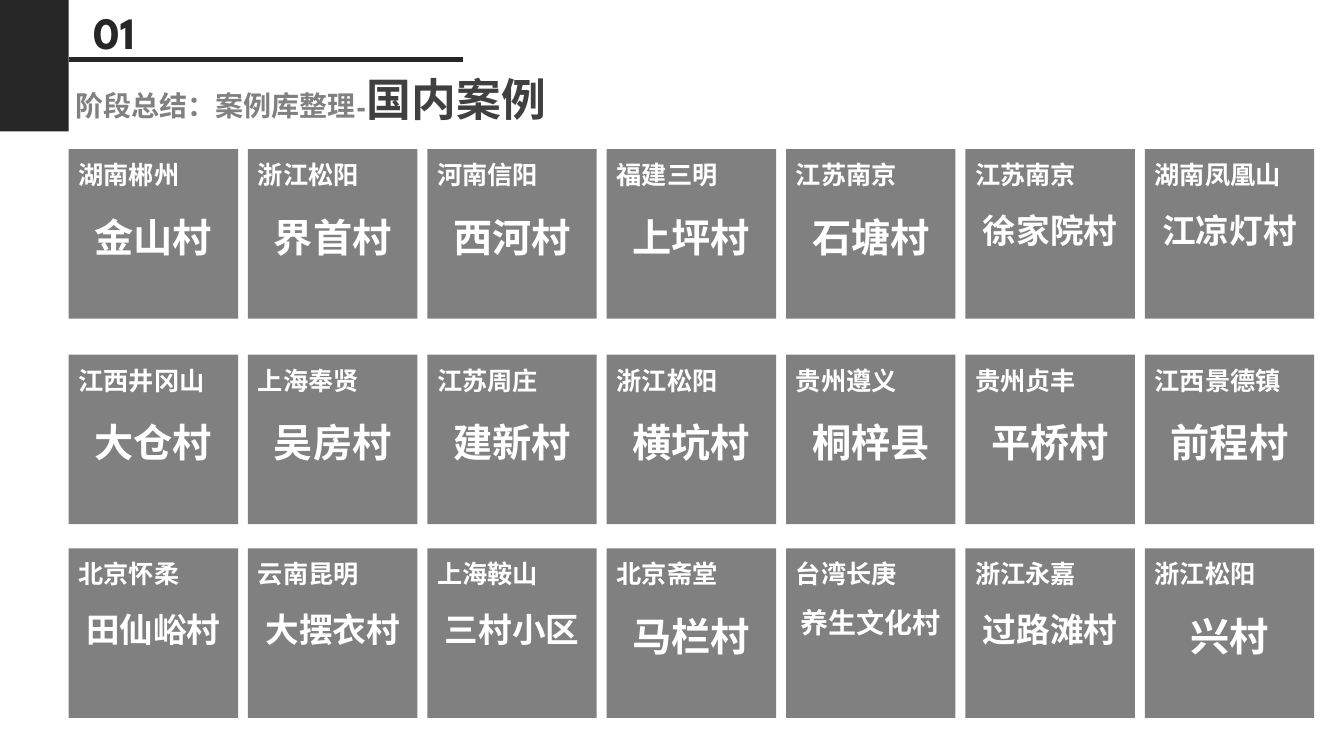
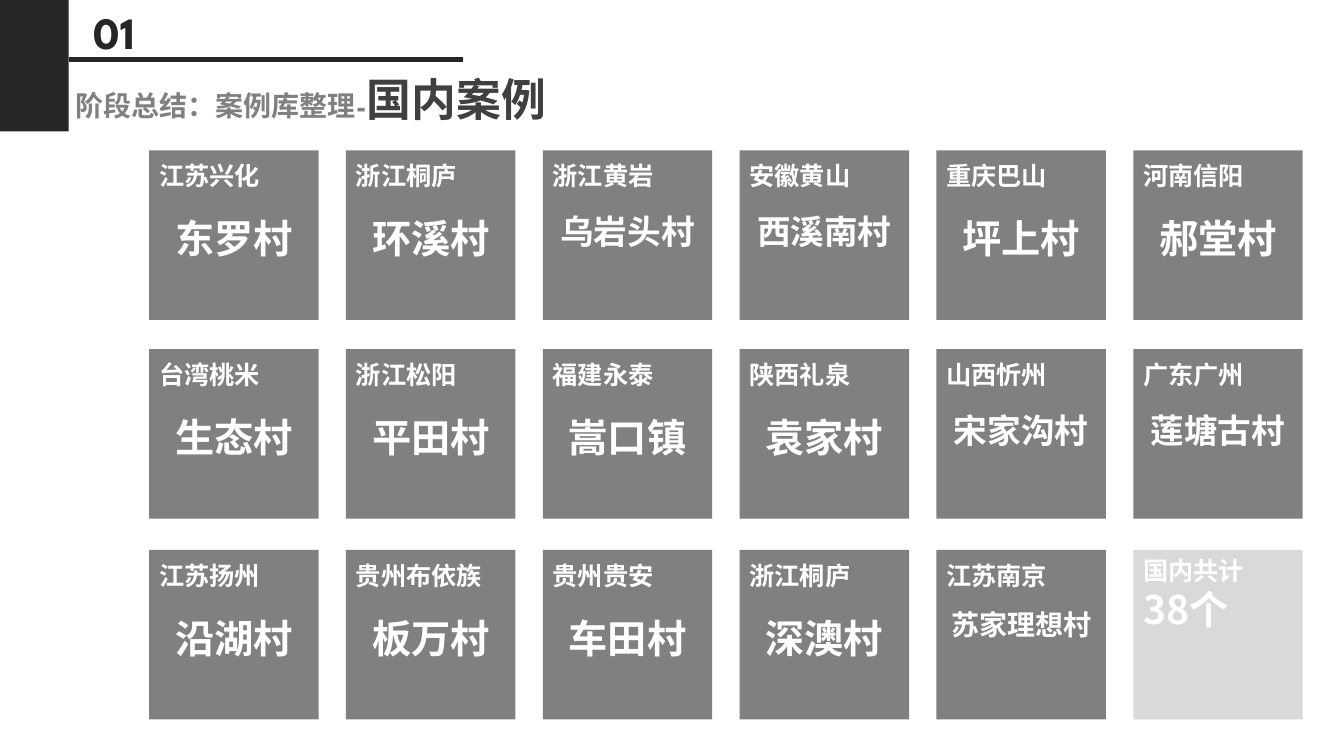
from dataclasses import dataclass

from lxml.etree import SubElement
from pptx import Presentation
from pptx.dml.color import RGBColor
from pptx.enum.shapes import MSO_CONNECTOR, MSO_SHAPE
from pptx.enum.text import MSO_ANCHOR, MSO_AUTO_SIZE, PP_ALIGN
from pptx.oxml.ns import qn
from pptx.util import Cm, Pt


@dataclass(frozen=True)
class Theme:
    dark: str = "262626"
    heading: str = "404040"
    gray: str = "808080"
    pale: str = "D9D9D9"
    white: str = "FFFFFF"
    display_font: str = "League Spartan"
    text_font: str = "Noto Sans CJK SC"
    large: int = 32
    name: int = 28
    place: int = 18
    prefix: int = 20
    # Longer village names are set smaller to stay on one line.
    long_names: tuple = ((4, 24), (5, 20))


@dataclass(frozen=True)
class Grid:
    """Card positions, in centimetres."""
    left: float
    column_step: float
    tops: tuple
    card: float = 4.27
    text_lift: float = 0.25
    text_height: float = 3


THEME = Theme()

FIRST_GRID = Grid(left=1.73, column_step=4.52, tops=(3.76, 8.94, 13.82))
FIRST_VILLAGES = (
    (("湖南郴州", "金山村"), ("浙江松阳", "界首村"), ("河南信阳", "西河村"),
     ("福建三明", "上坪村"), ("江苏南京", "石塘村"), ("江苏南京", "徐家院村"),
     ("湖南凤凰山", "江凉灯村")),
    (("江西井冈山", "大仓村"), ("上海奉贤", "吴房村"), ("江苏周庄", "建新村"),
     ("浙江松阳", "横坑村"), ("贵州遵义", "桐梓县"), ("贵州贞丰", "平桥村"),
     ("江西景德镇", "前程村")),
    (("北京怀柔", "田仙峪村"), ("云南昆明", "大摆衣村"), ("上海鞍山", "三村小区"),
     ("北京斋堂", "马栏村"), ("台湾长庚", "养生文化村"), ("浙江永嘉", "过路滩村"),
     ("浙江松阳", "兴村")),
)

SECOND_GRID = Grid(left=3.76, column_step=4.96, tops=(3.79, 8.8, 13.86))
SECOND_VILLAGES = (
    (("江苏兴化", "东罗村"), ("浙江桐庐", "环溪村"), ("浙江黄岩", "乌岩头村"),
     ("安徽黄山", "西溪南村"), ("重庆巴山", "坪上村"), ("河南信阳", "郝堂村")),
    (("台湾桃米", "生态村"), ("浙江松阳", "平田村"), ("福建永泰", "嵩口镇"),
     ("陕西礼泉", "袁家村"), ("山西忻州", "宋家沟村"), ("广东广州", "莲塘古村")),
    (("江苏扬州", "沿湖村"), ("贵州布依族", "板万村"), ("贵州贵安", "车田村"),
     ("浙江桐庐", "深澳村"), ("江苏南京", "苏家理想村")),
)


def write(paragraph, text, *, size, color=THEME.white, font=THEME.text_font,
          align=PP_ALIGN.LEFT, spacing=None):
    """Append a bold run to the paragraph."""
    paragraph.alignment = align
    if spacing:
        paragraph.line_spacing = spacing
    run = paragraph.add_run()
    run.text = text
    run.font.size = Pt(size)
    run.font.bold = True
    run.font.name = font
    run.font.color.rgb = RGBColor.from_string(color)
    SubElement(run._r.get_or_add_rPr(), qn("a:ea"), typeface=THEME.text_font)


def prepare_frame(shape, anchor=MSO_ANCHOR.TOP):
    frame = shape.text_frame
    frame.word_wrap = True
    frame.auto_size = MSO_AUTO_SIZE.NONE
    frame.vertical_anchor = anchor
    return frame


def add_text_box(shapes, left, top, width, height):
    box = shapes.add_textbox(Cm(left), Cm(top), Cm(width), Cm(height))
    return prepare_frame(box)


def add_block(shapes, left, top, width, height, color):
    block = shapes.add_shape(MSO_SHAPE.RECTANGLE, Cm(left), Cm(top), Cm(width), Cm(height))
    block.shadow.inherit = False
    block.fill.solid()
    block.fill.fore_color.rgb = RGBColor.from_string(color)
    block.line.fill.background()
    return block


def add_rule(shapes, left, right, y):
    rule = shapes.add_connector(MSO_CONNECTOR.STRAIGHT, Cm(left), Cm(y), Cm(right), Cm(y))
    rule.line.color.rgb = RGBColor.from_string(THEME.dark)
    rule.line.width = Pt(3)
    SubElement(rule.element.spPr, qn("a:effectLst"))
    return rule


def move_band_to_layout(slide):
    """Draw the corner block and rule, then hand them to the slide's layout."""
    corner = add_block(slide.shapes, 0, 0, 1.73, 3.31, THEME.dark)
    rule = add_rule(slide.shapes, 1.73, 11.68, 1.5)
    for shape in (corner, rule):
        slide.slide_layout.shapes.element.append(shape.element)


def add_heading(slide):
    title = slide.shapes.title
    title.left, title.top, title.width, title.height = Cm(1.65), Cm(1.68), Cm(14.15), Cm(1.62)
    paragraph = prepare_frame(title, MSO_ANCHOR.MIDDLE).paragraphs[0]
    write(paragraph, "阶段总结：案例库整理-", size=THEME.prefix, color=THEME.gray,
          font=THEME.display_font)
    write(paragraph, "国内案例", size=THEME.large, color=THEME.heading,
          font=THEME.display_font)
    number = add_text_box(slide.shapes, 2.11, 0, 1.85, 1.62)
    write(number.paragraphs[0], "01", size=THEME.large, color=THEME.dark,
          font=THEME.display_font)


def add_village_card(slide, grid, left, top, place, village):
    shapes = slide.shapes.add_group_shape().shapes
    add_block(shapes, left, top, grid.card, grid.card, THEME.gray)
    frame = add_text_box(shapes, left, top - grid.text_lift, grid.card, grid.text_height)
    write(frame.paragraphs[0], place, size=THEME.place, spacing=1.5)
    size = dict(THEME.long_names).get(len(village), THEME.name)
    write(frame.add_paragraph(), village, size=size, align=PP_ALIGN.CENTER, spacing=1.5)


def add_village_grid(slide, grid, rows):
    for top, row in zip(grid.tops, rows):
        for column, (place, village) in enumerate(row):
            left = grid.left + column * grid.column_step
            add_village_card(slide, grid, left, top, place, village)


def add_total_card(slide, grid, column):
    left = grid.left + column * grid.column_step
    card = add_block(slide.shapes, left, grid.tops[-1], grid.card, grid.card, THEME.pale)
    frame = prepare_frame(card)
    write(frame.paragraphs[0], "国内共计", size=THEME.place)
    write(frame.add_paragraph(), "38个", size=THEME.name)


def main():
    presentation = Presentation()
    presentation.slide_width, presentation.slide_height = Cm(33.87), Cm(19.05)
    title_only = presentation.slide_layouts[5]

    first, second = (presentation.slides.add_slide(title_only) for _ in range(2))
    move_band_to_layout(first)
    for slide, grid, villages in ((first, FIRST_GRID, FIRST_VILLAGES),
                                  (second, SECOND_GRID, SECOND_VILLAGES)):
        add_heading(slide)
        add_village_grid(slide, grid, villages)
    add_total_card(second, SECOND_GRID, column=len(SECOND_VILLAGES[-1]))

    presentation.save("out.pptx")


if __name__ == "__main__":
    main()
